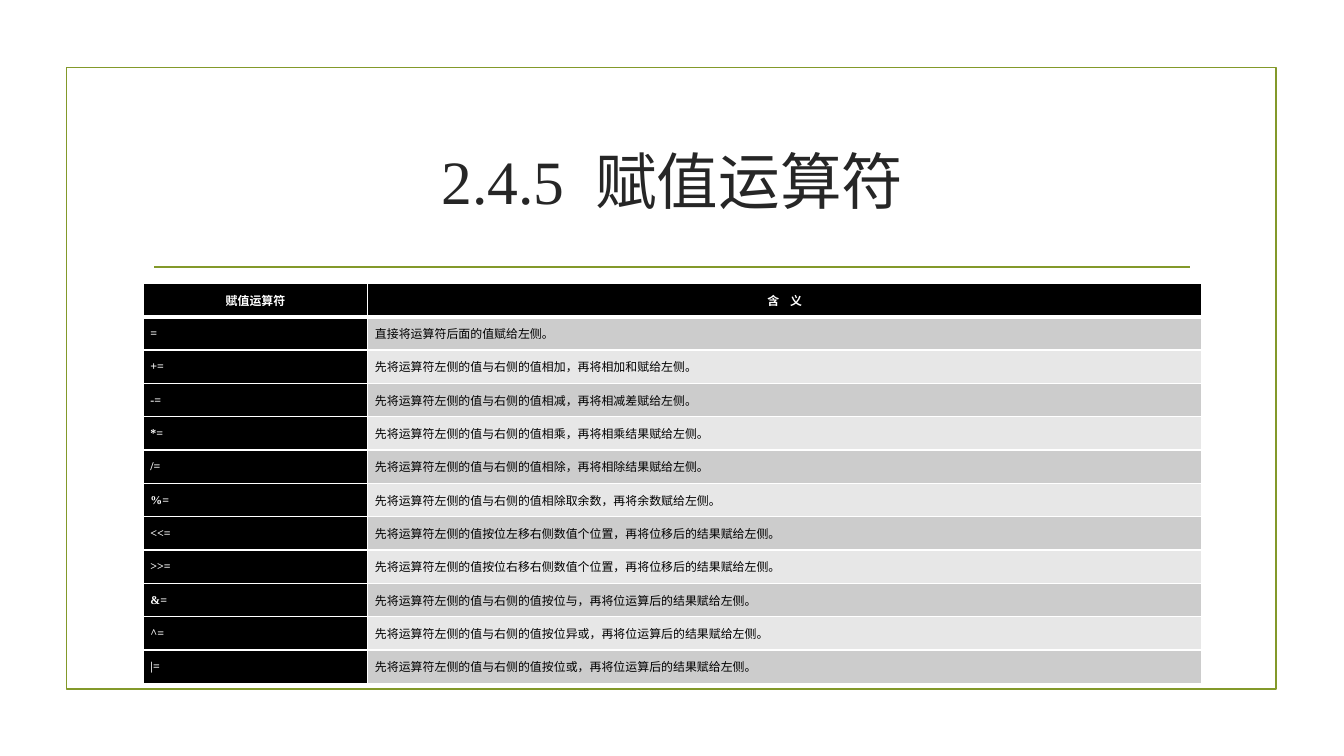
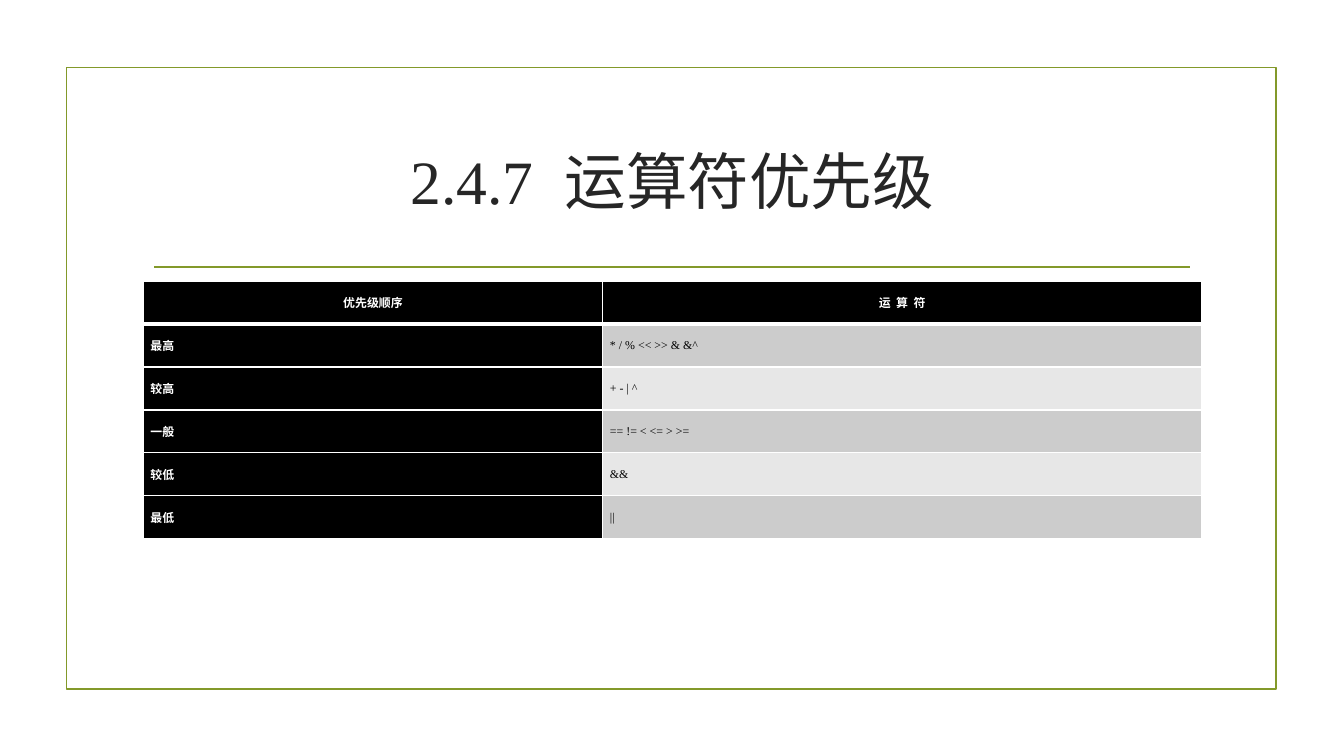
from lxml.etree import SubElement
from pptx import Presentation
from pptx.dml.color import RGBColor
from pptx.enum.shapes import MSO_CONNECTOR, MSO_SHAPE
from pptx.enum.text import MSO_ANCHOR, MSO_AUTO_SIZE, PP_ALIGN
from pptx.oxml.ns import qn
from pptx.util import Cm, Pt

# Content
SLIDES = [
    {
        "title": "2.4.5  赋值运算符",
        "top": 7.14, "row_height": 0.84, "columns": (5.66, 21.01),
        "rows": [
            ("赋值运算符", "含    义"),
            ("=", "直接将运算符后面的值赋给左侧。"),
            ("+=", "先将运算符左侧的值与右侧的值相加，再将相加和赋给左侧。"),
            ("-=", "先将运算符左侧的值与右侧的值相减，再将相减差赋给左侧。"),
            ("*=", "先将运算符左侧的值与右侧的值相乘，再将相乘结果赋给左侧。"),
            ("/=", "先将运算符左侧的值与右侧的值相除，再将相除结果赋给左侧。"),
            ("%=", "先将运算符左侧的值与右侧的值相除取余数，再将余数赋给左侧。"),
            ("<<=", "先将运算符左侧的值按位左移右侧数值个位置，再将位移后的结果赋给左侧。"),
            (">>=", "先将运算符左侧的值按位右移右侧数值个位置，再将位移后的结果赋给左侧。"),
            ("&=", "先将运算符左侧的值与右侧的值按位与，再将位运算后的结果赋给左侧。"),
            ("^=", "先将运算符左侧的值与右侧的值按位异或，再将位运算后的结果赋给左侧。"),
            ("|=", "先将运算符左侧的值与右侧的值按位或，再将位运算后的结果赋给左侧。"),
        ],
    },
    {
        "title": "2.4.7  运算符优先级",
        "top": 7.09, "row_height": 1.08, "columns": (11.58, 15.09),
        "rows": [
            ("优先级顺序", "运  算  符"),
            ("最高", "* / % << >> & &^"),
            ("较高", "+ - | ^"),
            ("一般", "== != < <= > >="),
            ("较低", "&&"),
            ("最低", "||"),
        ],
    },
]

# Shared style
COLORS = {"accent": "83992A", "title": "262626", "dark": "000000",
          "light": "FFFFFF", "odd": "CCCCCC", "even": "E7E7E7"}
FONT = "Times New Roman"
LEFT, WIDTH = 3.61, 26.67
TITLE_BOX = {"left": Cm(LEFT), "top": Cm(2.72), "width": Cm(WIDTH), "height": Cm(3.63)}
TITLE_FRAME = {"word_wrap": True, "auto_size": MSO_AUTO_SIZE.NONE,
               "vertical_anchor": MSO_ANCHOR.MIDDLE}
CELL = {"margin_left": Cm(0.18), "margin_right": Cm(0.18), "margin_top": 0,
        "margin_bottom": 0, "vertical_anchor": MSO_ANCHOR.MIDDLE}


def rgb(name):
    return RGBColor.from_string(COLORS[name])


def apply(obj, values):
    for name, value in values.items():
        setattr(obj, name, value)


def write(tf, text, size, color, align, bold=False):
    p = tf.paragraphs[0]
    p.alignment = align
    r = p.add_run()
    r.text = text
    apply(r.font, {"size": Pt(size), "name": FONT, "bold": bold})
    r.font.color.rgb = rgb(color)


def accent_line(sp):
    sp.line.color.rgb = rgb("accent")
    sp.line.width = Pt(1.25)


def add_base(prs, title):
    s = prs.slides.add_slide(prs.slide_layouts[5])
    # Frame and rule under the title
    frame = s.shapes.add_shape(MSO_SHAPE.RECTANGLE, Cm(1.68), Cm(1.7), Cm(30.48), Cm(15.67))
    frame.shadow.inherit = False
    frame.fill.background()
    accent_line(frame)
    rule = s.shapes.add_connector(MSO_CONNECTOR.STRAIGHT, Cm(3.89), Cm(6.73), Cm(30), Cm(6.73))
    SubElement(rule._element.spPr, qn("a:effectLst"))
    accent_line(rule)
    # Title
    apply(s.shapes.title, TITLE_BOX)
    tf = s.shapes.title.text_frame
    apply(tf, TITLE_FRAME)
    write(tf, title, 44, "title", PP_ALIGN.CENTER)
    return s


def add_borders(cell, widths):
    tc_pr = cell._tc.get_or_add_tcPr()
    for side, width in widths.items():
        ln = SubElement(tc_pr, qn(f"a:ln{side}"), w=str(Pt(width)))
        fill = SubElement(ln, qn("a:solidFill"))
        SubElement(fill, qn("a:srgbClr"), val=COLORS["light"])


def format_cell(cell, text, row, col):
    header = row == 0
    dark = header or col == 0
    apply(cell, CELL)
    add_borders(cell, {"L": 1, "R": 1, "T": 3 if row == 1 else 1, "B": 3 if header else 1})
    cell.fill.solid()
    cell.fill.fore_color.rgb = rgb("dark" if dark else "odd" if row % 2 else "even")
    write(cell.text_frame, text, 8.5, "light" if dark else "dark",
          PP_ALIGN.CENTER if header else PP_ALIGN.JUSTIFY, dark)


def add_grid(s, data):
    rows, widths, height = data["rows"], data["columns"], data["row_height"]
    table = s.shapes.add_table(len(rows), len(widths), Cm(LEFT), Cm(data["top"]),
                               Cm(WIDTH), Cm(height * len(rows))).table
    for column, width in zip(table.columns, widths):
        column.width = Cm(width)
    for i, texts in enumerate(rows):
        table.rows[i].height = Cm(height)
        for j, text in enumerate(texts):
            format_cell(table.cell(i, j), text, i, j)


def main():
    prs = Presentation()
    apply(prs, {"slide_width": Cm(33.87), "slide_height": Cm(19.05)})
    for data in SLIDES:
        add_grid(add_base(prs, data["title"]), data)
    prs.save("out.pptx")


if __name__ == "__main__":
    main()
